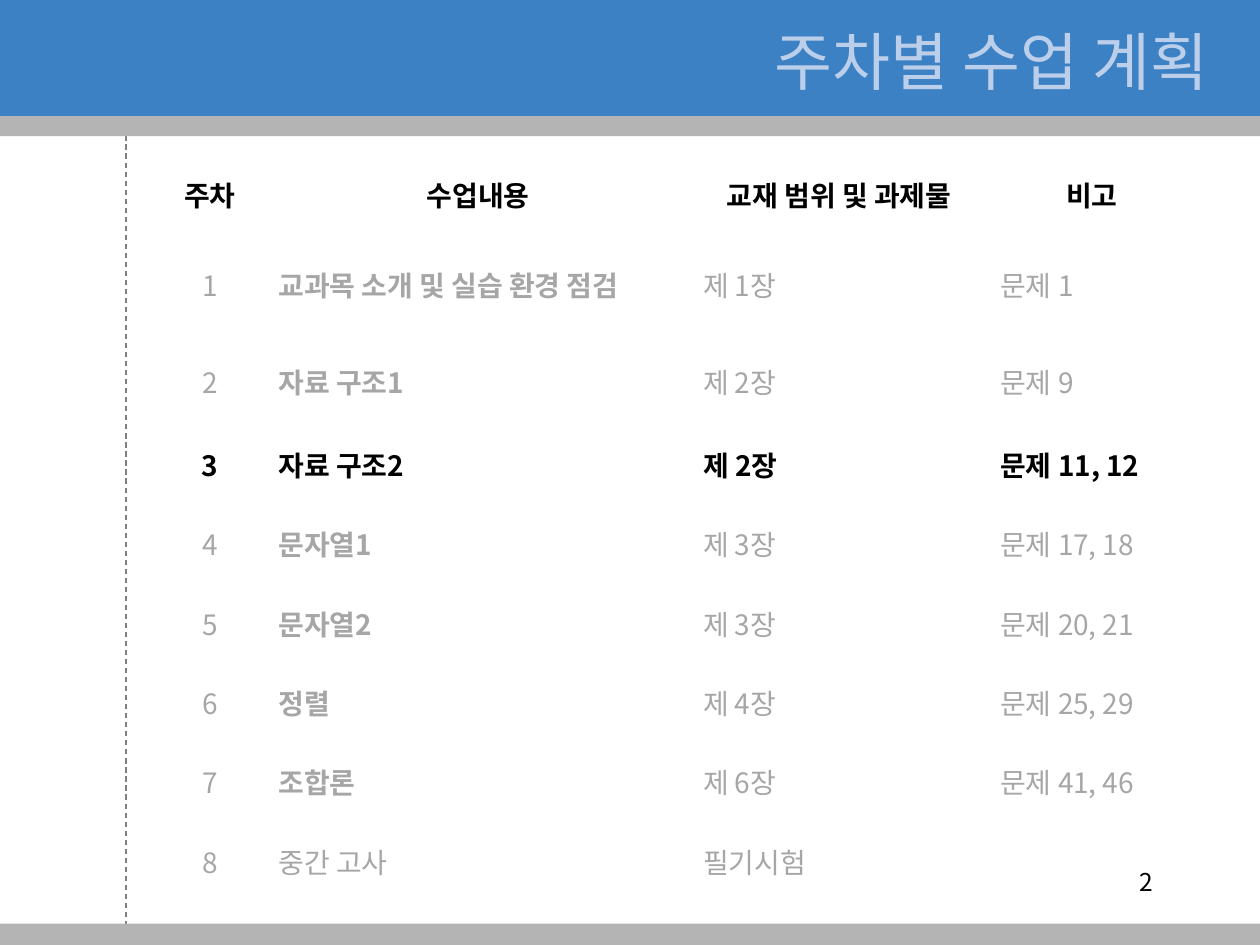
"""Build the weekly class plan slide."""
from lxml import etree
from pptx import Presentation
from pptx.dml.color import RGBColor
from pptx.enum.dml import MSO_LINE
from pptx.enum.shapes import MSO_CONNECTOR, MSO_SHAPE
from pptx.enum.text import MSO_ANCHOR as Anchor, PP_ALIGN as Align
from pptx.oxml.ns import qn
from pptx.util import Inches, Pt

FONT = "Noto Sans CJK KR"
BLACK = RGBColor(0, 0, 0)
WHITE = RGBColor(255, 255, 255)
FADED = RGBColor(0xA6, 0xA6, 0xA6)
BAND_GRAY = RGBColor(0xB4, 0xB4, 0xB4)
LINE_GRAY = RGBColor(0x80, 0x80, 0x80)
BLUE = RGBColor(0x3D, 0x81, 0xC5)
TITLE_BLUE = RGBColor(0xBC, 0xCF, 0xEA)

TITLE = "주차별 수업 계획 "
PAGE_NUMBER = "2"
HEADER = ("주차", "수업내용", "교재 범위 및 과제물", "비고")
WEEKS = [
    ("교과목 소개 및 실습 환경 점검", "제 1장", "문제 1"),
    ("자료 구조1", "제 2장", "문제 9"),
    ("자료 구조2", "제 2장", "문제 11, 12"),
    ("문자열1 ", "제 3장", "문제 17, 18"),
    ("문자열2", "제 3장", "문제 20, 21"),
    ("정렬", "제 4장", "문제 25, 29"),
    ("조합론", "제 6장", "문제 41, 46"),
    ("중간 고사", "필기시험", ""),
]
CURRENT_WEEK = 3
EXAM_WEEK = 8
TOPIC_COLUMN = 1
COLUMN_WIDTHS = (0.89, 3.37, 2.36, 1.65)
ROW_HEIGHTS = (0.57, 0.85, 0.69) + (0.63,) * 6
COLUMN_ALIGNS = (Align.CENTER, Align.JUSTIFY, Align.LEFT, Align.LEFT)
BANDS = [(0.83, 0.25, BAND_GRAY), (0, 0.92, BLUE), (7.33, 0.17, BAND_GRAY)]


def write_text(frame, text, size=16, color=BLACK, bold=False, align=Align.LEFT):
    paragraph = frame.paragraphs[0]
    paragraph.alignment = align
    run = paragraph.add_run()
    run.text = text
    font = run.font
    font.name, font.size, font.bold = FONT, Pt(size), bold
    font.color.rgb = color
    latin = run._r.get_or_add_rPr().find(qn("a:latin"))
    east_asian = etree.Element(qn("a:ea"), typeface=FONT)
    latin.addnext(east_asian)


def add_text_box(slide, box, text, anchor=Anchor.TOP, **text_format):
    frame = slide.shapes.add_textbox(*map(Inches, box)).text_frame
    frame.word_wrap = True
    frame.vertical_anchor = anchor
    write_text(frame, text, **text_format)


def add_guide(slide):
    guide = slide.shapes.add_connector(
        MSO_CONNECTOR.STRAIGHT, Inches(1), Inches(0), Inches(1), Inches(7.5))
    guide.line.color.rgb = LINE_GRAY
    guide.line.width = Pt(0.75)
    guide.line.dash_style = MSO_LINE.DASH
    etree.SubElement(guide._element.spPr, qn("a:effectLst"))


def add_band(slide, top, height, color):
    band = slide.shapes.add_shape(
        MSO_SHAPE.RECTANGLE, Inches(0), Inches(top), Inches(10), Inches(height))
    band.shadow.inherit = False
    band.fill.solid()
    band.fill.fore_color.rgb = color
    band.line.fill.background()


def add_plan(slide):
    rows = [HEADER] + [(str(week), *entry) for week, entry in enumerate(WEEKS, 1)]
    table = slide.shapes.add_table(
        len(rows), len(HEADER), Inches(1.22), Inches(1.26),
        Inches(sum(COLUMN_WIDTHS)), Inches(sum(ROW_HEIGHTS))).table
    table.first_row = table.horz_banding = False
    for column, width in zip(table.columns, COLUMN_WIDTHS):
        column.width = Inches(width)
    for week, (row, height, texts) in enumerate(zip(table.rows, ROW_HEIGHTS, rows)):
        row.height = Inches(height)
        strong = week in (0, CURRENT_WEEK)
        for index, (cell, text) in enumerate(zip(row.cells, texts)):
            cell.fill.solid()
            cell.fill.fore_color.rgb = WHITE
            cell.vertical_anchor = Anchor.MIDDLE
            if text:
                write_text(
                    cell.text_frame, text,
                    color=BLACK if strong else FADED,
                    bold=strong or (index == TOPIC_COLUMN and week != EXAM_WEEK),
                    align=COLUMN_ALIGNS[index] if week else Align.CENTER)


presentation = Presentation()
presentation.slide_width, presentation.slide_height = Inches(10), Inches(7.5)
slide = presentation.slides.add_slide(presentation.slide_layouts[6])
add_guide(slide)
for band in BANDS:
    add_band(slide, *band)
add_text_box(slide, (3.82, 0.13, 5.98, 0.7), TITLE, anchor=Anchor.MIDDLE,
             size=36, color=TITLE_BLUE, align=Align.RIGHT)
add_plan(slide)
add_text_box(slide, (7.17, 6.83, 2.08, 0.5), PAGE_NUMBER, size=14, align=Align.RIGHT)
presentation.save("out.pptx")
